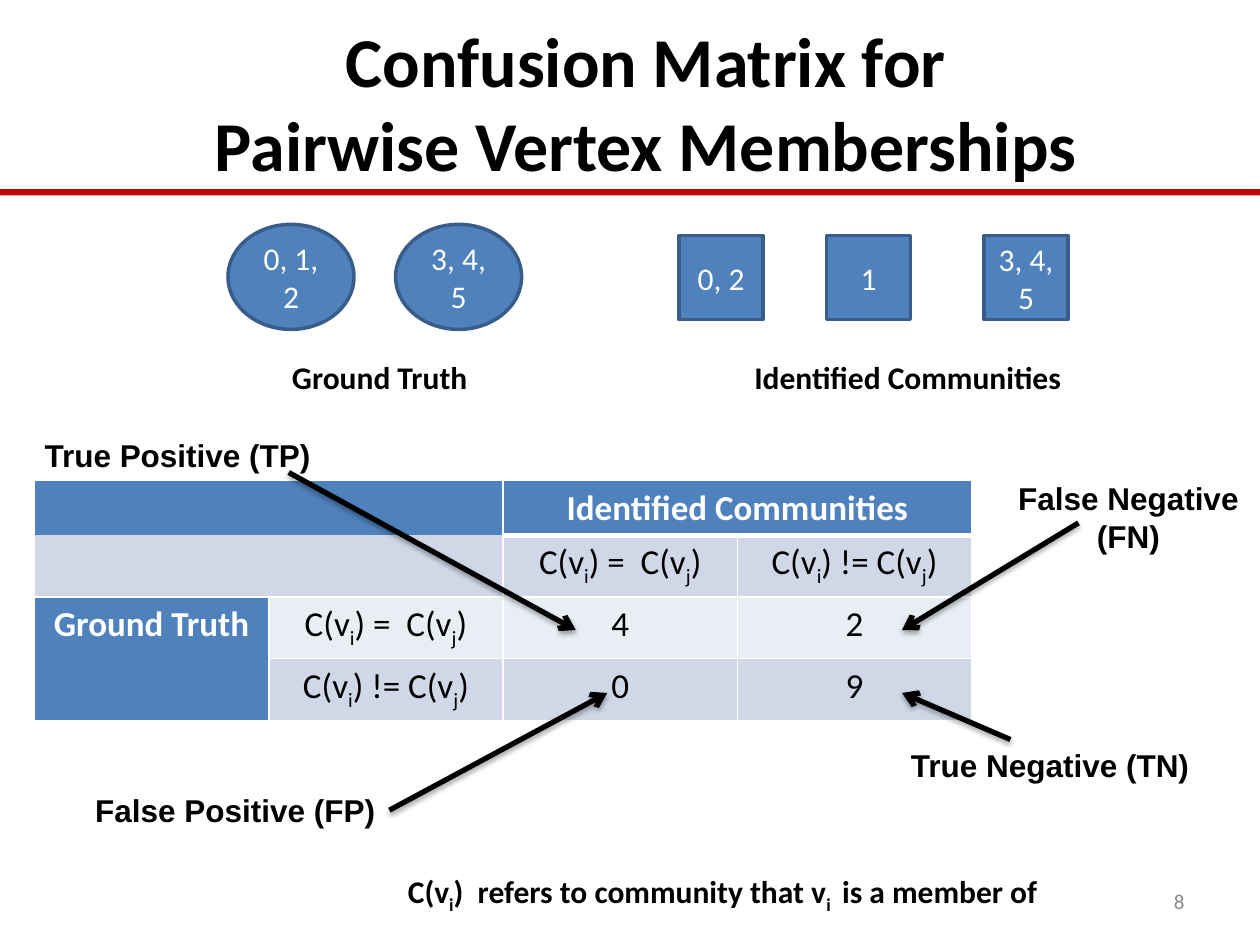
from lxml import etree
from pptx import Presentation
from pptx.dml.color import RGBColor
from pptx.enum import shapes, text
from pptx.oxml import ns
from pptx.util import Pt

COLORS = {"black": "000000", "white": "FFFFFF", "red": "C00000", "gray": "898989",
          "blue": "4F81BD", "outline": "385D8A", "band": "D0D8E8", "light": "E9EDF4"}

# Text between underscores is set as subscript.
SAME, DIFFERENT = "C(v_i_) =  C(v_j_)", "C(v_i_) != C(v_j_)"
TITLE = "Confusion Matrix for\vPairwise Vertex Memberships"

# shape, top, width, height, [(left, members)]
COMMUNITIES = [
    (shapes.MSO_SHAPE.OVAL, 128.2, 72, 60, [(130.3, "0, 1, 2"), (226.1, "3, 4, 5")]),
    (shapes.MSO_SHAPE.RECTANGLE, 134.6, 48, 48,
     [(388.1, "0, 2"), (472.3, "1"), (562.3, "3, 4, 5")]),
]

# text, left, top, width, height, font, alignment, wrap
LEFT, CENTER, RIGHT = text.PP_ALIGN.LEFT, text.PP_ALIGN.CENTER, text.PP_ALIGN.RIGHT
LABELS = [
    ("Ground Truth", 159.8, 201, 116, 29, "Calibri", LEFT, False),
    ("Identified Communities", 424, 201, 191.5, 29, "Calibri", LEFT, False),
    ("C(v_i_)  refers to community that v_i _ is a member of",
     226, 494.8, 379, 29, "Calibri", LEFT, False),
    ("True Positive (TP)", 17.5, 245.5, 168, 29, "Arial", CENTER, False),
    ("False Positive (FP)", 46.2, 448.7, 176.4, 29, "Arial", CENTER, False),
    ("False Negative (FN)", 562.3, 270.2, 165, 51, "Arial", CENTER, True),
    ("True Negative (TN)", 512.6, 422.5, 175, 29, "Arial", CENTER, False),
]

# start, end
ARROWS = [((165, 270), (329, 360)), ((222.5, 463), (347, 396)),
          ((616.3, 298.8), (515.5, 360)), ((577.4, 422.6), (515.5, 396))]

# row, column, row span, column span, text, fill, bold
CELLS = [
    (0, 0, 1, 2, "", "blue", True),
    (0, 2, 1, 2, "Identified Communities", "blue", True),
    (1, 0, 1, 2, "", "band", False),
    (1, 2, 1, 1, SAME, "band", False),
    (1, 3, 1, 1, DIFFERENT, "band", False),
    (2, 0, 2, 1, "Ground Truth", "blue", True),
    (2, 1, 1, 1, SAME, "light", False),
    (2, 2, 1, 1, "4", "light", False),
    (2, 3, 1, 1, "2", "light", False),
    (3, 1, 1, 1, DIFFERENT, "band", False),
    (3, 2, 1, 1, "0", "band", False),
    (3, 3, 1, 1, "9", "band", False),
]
ROW_HEIGHTS, COLUMN_WIDTH = (31, 35.3, 35.3, 35.3), 133.9


def rgb(name):
    """Look up a named colour."""
    return RGBColor.from_string(COLORS[name])


def write(frame, content, size, color, font="Calibri", bold=False, align=CENTER):
    """Write one paragraph, lowering the parts between underscores."""
    paragraph = frame.paragraphs[0]
    paragraph.alignment = align
    for index, part in enumerate(content.split("_")):
        run = paragraph.add_run()
        run.text = part
        run.font.size, run.font.name, run.font.bold = Pt(size), font, bold
        run.font.color.rgb = rgb(color)
        if index % 2:
            run.font._element.set("baseline", "-25000")


def add_block(slide, kind, left, top, width, height, fill, outline=None):
    """Add a filled shape without shadow."""
    block = slide.shapes.add_shape(kind, Pt(left), Pt(top), Pt(width), Pt(height))
    block.shadow.inherit = False
    block.fill.solid()
    block.fill.fore_color.rgb = rgb(fill)
    if outline:
        block.line.color.rgb, block.line.width = rgb(outline), Pt(2)
    else:
        block.line.fill.background()
    return block


def add_label(slide, content, left, top, width, height, font, align, wrap,
              size=18, color="black", bold=True):
    """Add a text box."""
    frame = slide.shapes.add_textbox(Pt(left), Pt(top), Pt(width), Pt(height)).text_frame
    frame.word_wrap = wrap
    write(frame, content, size, color, font, bold, align)
    return frame


def add_arrow(slide, start, end):
    """Add a black arrow with a soft shadow below it."""
    arrow = slide.shapes.add_connector(shapes.MSO_CONNECTOR.STRAIGHT,
                                       *(Pt(v) for v in start + end))
    arrow.line.color.rgb, arrow.line.width = rgb("black"), Pt(4)
    arrow.line.width = Pt(3)
    etree.SubElement(arrow.line._get_or_add_ln(), ns.qn("a:tailEnd"), type="arrow")
    effects = etree.SubElement(arrow._element.spPr, ns.qn("a:effectLst"))
    shadow = etree.SubElement(effects, ns.qn("a:outerShdw"), blurRad=str(Pt(3.1)),
                              dist=str(Pt(1.8)), dir="5400000", rotWithShape="0")
    tint = etree.SubElement(shadow, ns.qn("a:srgbClr"), val=COLORS["black"])
    etree.SubElement(tint, ns.qn("a:alpha"), val="35000")


def set_borders(cell, row, column):
    """Draw white borders: thick under the header, none between the blank cells."""
    header_edge = 0 if column < 2 else 3
    widths = {"L": 1, "R": 1, "T": header_edge if row == 1 else 1,
              "B": header_edge if row == 0 else 1}
    properties = cell._tc.get_or_add_tcPr()
    for side, width in widths.items():
        border = etree.SubElement(properties, ns.qn("a:ln" + side), w=str(Pt(width)))
        if width:
            fill = etree.SubElement(border, ns.qn("a:solidFill"))
            etree.SubElement(fill, ns.qn("a:srgbClr"), val=COLORS["white"])
        else:
            etree.SubElement(border, ns.qn("a:noFill"))


def add_matrix(slide, left, top):
    """Add the confusion matrix."""
    matrix = slide.shapes.add_table(4, 4, Pt(left), Pt(top), Pt(4 * COLUMN_WIDTH),
                                    Pt(sum(ROW_HEIGHTS))).table
    for column in matrix.columns:
        column.width = Pt(COLUMN_WIDTH)
    for row, height in zip(matrix.rows, ROW_HEIGHTS):
        row.height = Pt(height)
    for row, column, down, across, content, fill, bold in CELLS:
        cell = matrix.cell(row, column)
        if down * across > 1:
            cell.merge(matrix.cell(row + down - 1, column + across - 1))
        set_borders(cell, row, column)
        cell.fill.solid()
        cell.fill.fore_color.rgb = rgb(fill)
        write(cell.text_frame, content, 20, "white" if bold else "black", bold=bold)


deck = Presentation()
deck.slide_width, deck.slide_height = Pt(720), Pt(540)
slide = deck.slides.add_slide(deck.slide_layouts[5])

add_block(slide, shapes.MSO_SHAPE.RECTANGLE, 0, 108, 720, 3.6, "red")
page = add_label(slide, "8", 516, 500.5, 168, 28.8, "Calibri", RIGHT, True, 12, "gray", False)
page.vertical_anchor = text.MSO_ANCHOR.MIDDLE

add_matrix(slide, 19.7, 274.6)
for kind, top, width, height, members in COMMUNITIES:
    for left, vertices in members:
        community = add_block(slide, kind, left, top, width, height, "blue", "outline")
        write(community.text_frame, vertices, 18, "white")

title = slide.shapes.title
title.left, title.top, title.width, title.height = Pt(27), Pt(13), Pt(684), Pt(90)
title.text_frame.text = TITLE
title.text_frame.auto_size = text.MSO_AUTO_SIZE.NONE
title.text_frame.vertical_anchor = text.MSO_ANCHOR.MIDDLE
title.text_frame.paragraphs[0].alignment = CENTER
for run in title.text_frame.paragraphs[0].runs:
    run.font.size, run.font.name, run.font.bold = Pt(40), "Calibri", True
    run.font.color.rgb = rgb("black")

for label in LABELS:
    add_label(slide, *label)
for start, end in ARROWS:
    add_arrow(slide, start, end)

deck.save("out.pptx")
